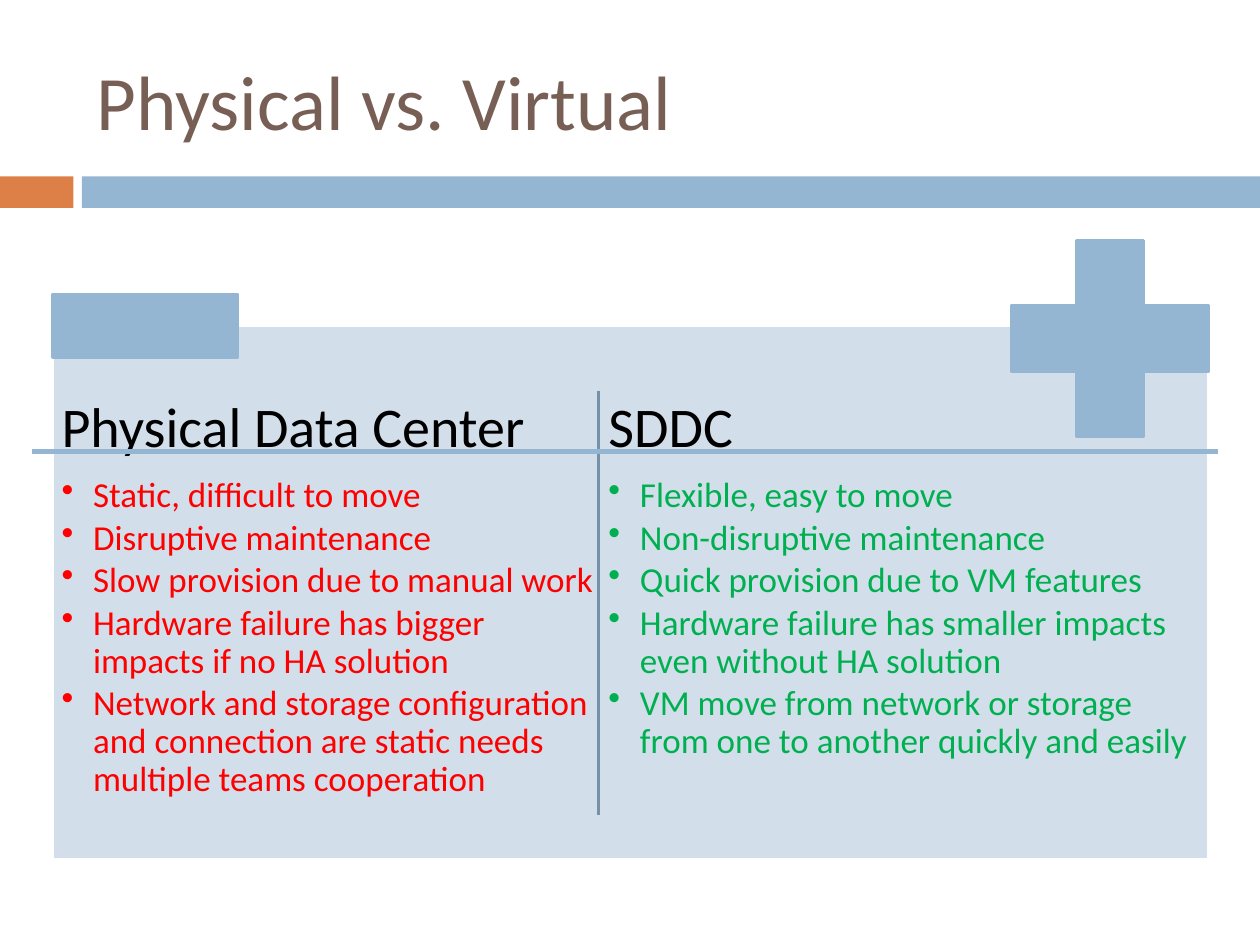
"""Build the slide comparing a physical data center with an SDDC."""
from lxml import etree
from pptx import Presentation
from pptx.dml.color import RGBColor
from pptx.enum import shapes, text
from pptx.oxml import ns
from pptx.util import Pt

COLORS = {
    "orange": "DD8047", "blue": "94B6D2", "pale": "D2DEEA", "white": "FFFFFF",
    "divider": "7792A8", "title": "775F55", "heading": "000000",
    "drawback": "FF0000", "benefit": "00B050",
}
FONT = "Calibri"
INSET = 5
INDENT = 18
COLUMN_TOP, COLUMN_HEIGHT = 223.2, 254.2
COLUMNS = [
    (30.2, 319.7, "Physical Data Center", "drawback", [
        "Static, difficult to move",
        "Disruptive maintenance",
        "Slow provision due to manual work",
        "Hardware failure has bigger impacts if no HA solution",
        "Network and storage configuration and connection are static needs "
        "multiple teams cooperation",
    ]),
    (342.7, 347, "SDDC", "benefit", [
        "Flexible, easy to move",
        "Non-disruptive maintenance",
        "Quick provision due to VM features",
        "Hardware failure has smaller impacts even without HA solution",
        "VM move from network or storage from one to another quickly and easily",
    ]),
]


def rgb(name):
    return RGBColor.from_string(COLORS[name])


def apply_format(target, values):
    for name, value in values.items():
        setattr(target, name, value)


def set_font(paragraph, size, color):
    apply_format(paragraph.font, {"name": FONT, "size": Pt(size)})
    paragraph.font.color.rgb = rgb(color)


def add_block(slide, kind, box, fill, line=None):
    shape = slide.shapes.add_shape(kind, *map(Pt, box))
    shape.shadow.inherit = False
    shape.fill.solid()
    shape.fill.fore_color.rgb = rgb(fill)
    if line:
        shape.line.color.rgb = rgb(line)
        shape.line.width = Pt(1.5)
    else:
        shape.line.fill.background()
    return shape


def add_line(slide, ends, color, width):
    connector = slide.shapes.add_connector(
        shapes.MSO_CONNECTOR.STRAIGHT, *map(Pt, ends))
    connector.line.color.rgb = rgb(color)
    connector.line.width = Pt(width)
    etree.SubElement(connector._element.spPr, ns.qn("a:effectLst"))


def add_bullet(paragraph):
    properties = paragraph._p.get_or_add_pPr()
    properties.set("marL", str(Pt(INDENT)))
    properties.set("indent", str(-Pt(INDENT)))
    etree.SubElement(properties, ns.qn("a:buChar")).set("char", "•")


def add_column(slide, left, width, heading, color, points):
    box = (left, COLUMN_TOP, width, COLUMN_HEIGHT)
    frame = slide.shapes.add_textbox(*map(Pt, box)).text_frame
    margins = {f"margin_{side}": Pt(INSET)
               for side in ("left", "top", "right", "bottom")}
    apply_format(frame, {"word_wrap": True, **margins})
    paragraph = frame.paragraphs[0]
    apply_format(paragraph, {
        "text": heading, "line_spacing": 0.9, "space_after": Pt(10.1)})
    set_font(paragraph, 32, "heading")
    for point in points:
        paragraph = frame.add_paragraph()
        apply_format(paragraph, {
            "text": point, "level": 1, "line_spacing": 0.9,
            "space_after": Pt(2.7)})
        add_bullet(paragraph)
        set_font(paragraph, 20, color)


def format_title(slide, wording):
    title = slide.shapes.title
    apply_format(title, {"left": Pt(48), "top": Pt(18),
                         "width": Pt(642), "height": Pt(78)})
    frame = title.text_frame
    apply_format(frame, {
        "text": wording, "word_wrap": True,
        "auto_size": text.MSO_AUTO_SIZE.NONE,
        "vertical_anchor": text.MSO_ANCHOR.MIDDLE})
    paragraph = frame.paragraphs[0]
    paragraph.alignment = text.PP_ALIGN.LEFT
    set_font(paragraph, 44, "title")


def main():
    presentation = Presentation()
    apply_format(presentation, {"slide_width": Pt(720), "slide_height": Pt(540)})
    slide = presentation.slides.add_slide(presentation.slide_layouts[5])
    rectangle = shapes.MSO_SHAPE.RECTANGLE
    add_block(slide, rectangle, (0, 100.8, 42, 18), "orange")
    add_block(slide, rectangle, (46.8, 100.8, 673.2, 18), "blue")
    format_title(slide, "Physical vs. Virtual")
    add_block(slide, rectangle, (30.2, 186, 660.2, 305.2), "pale", "white")
    for column in COLUMNS:
        add_column(slide, *column)
    plus = add_block(slide, shapes.MSO_SHAPE.CROSS,
                     (578, 137.3, 112.4, 112.4), "blue", "blue")
    plus.adjustments[0] = 0.33
    add_block(slide, rectangle, (30.2, 168, 105.8, 36.2), "blue", "blue")
    add_line(slide, (342, 223.2, 342, 465.8), "divider", 1.5)
    add_line(slide, (18, 258, 696, 258), "blue", 3.25)
    presentation.save("out.pptx")


if __name__ == "__main__":
    main()
